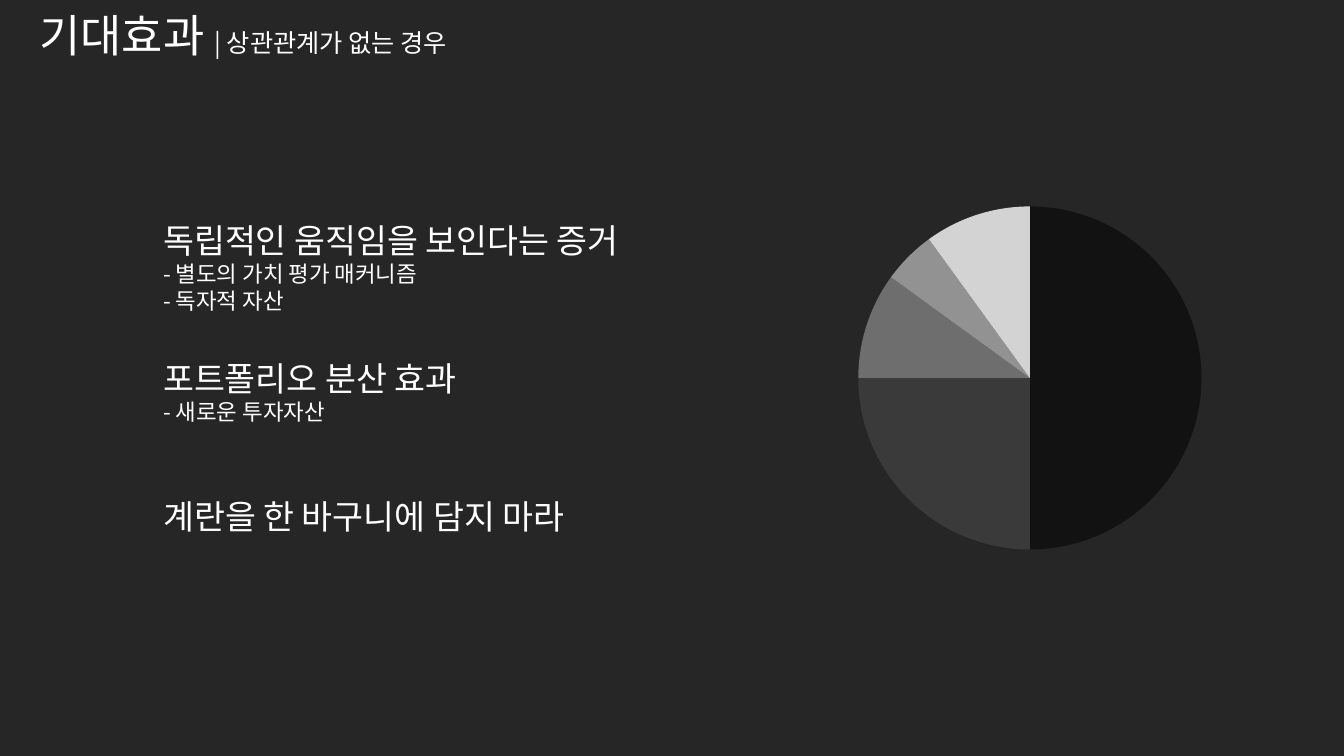
import pptx
import pptx.chart.data
import pptx.dml.color
import pptx.enum.chart
import pptx.enum.text
import pptx.oxml
import pptx.oxml.ns
import pptx.util
from lxml import etree

Inches = pptx.util.Inches
Pt = pptx.util.Pt
RGBColor = pptx.dml.color.RGBColor
qn = pptx.oxml.ns.qn

BACKGROUND = RGBColor(0x26, 0x26, 0x26)
WHITE = RGBColor(0xFF, 0xFF, 0xFF)
BLACK = RGBColor(0x00, 0x00, 0x00)
SLICE_COLORS = [
    RGBColor(0x0D, 0x0D, 0x0D),
    RGBColor(0x40, 0x40, 0x40),
    RGBColor(0x80, 0x80, 0x80),
    RGBColor(0xAE, 0xAE, 0xAE),
    WHITE,
]
SLICE_VALUES = [50, 25, 10, 5, 10]
FONT = "Noto Sans CJK KR"

EFFECTS_LEFT = 1.52
EFFECTS = [
    (2.13, 5.25, 1.04, "독립적인 움직임을 보인다는 증거",
     ["- 별도의 가치 평가 매커니즘", "- 독자적 자산"]),
    (3.5, 3.46, 0.77, "포트폴리오 분산 효과", ["- 새로운 투자자산"]),
    (4.87, 4.69, 0.5, "계란을 한 바구니에 담지 마라", []),
]


def add_text_frame(page, left, top, width, height):
    box = page.shapes.add_textbox(
        Inches(left), Inches(top), Inches(width), Inches(height))
    frame = box.text_frame
    frame.word_wrap = False
    frame.auto_size = pptx.enum.text.MSO_AUTO_SIZE.SHAPE_TO_FIT_TEXT
    return frame


def style_paragraph(para):
    para.font.color.rgb = WHITE
    para.font.name = FONT
    east_asian = etree.SubElement(para.font._element, qn("a:ea"))
    east_asian.set("typeface", FONT)


def add_title(page, left, top, width, height):
    frame = add_text_frame(page, left, top, width, height)
    frame.margin_left = Inches(0.39)
    frame.margin_top = Inches(0.08)
    para = frame.paragraphs[0]
    style_paragraph(para)
    for text, size in [("기대효과 ", 32), ("| 상관관계가 없는 경우", 18)]:
        span = para.add_run()
        span.text = text
        span.font.size = Pt(size)


def add_effect(page, left, top, width, height, heading, details):
    frame = add_text_frame(page, left, top, width, height)
    for index, text in enumerate([heading] + details):
        para = frame.add_paragraph() if index else frame.paragraphs[0]
        para.text = text
        para.font.size = Pt(16 if index else 24)
        style_paragraph(para)


def add_portfolio_pie(page, left, top, width, height):
    data = pptx.chart.data.CategoryChartData()
    data.categories = [str(number + 1) for number in range(len(SLICE_VALUES))]
    data.add_series("Series 1", SLICE_VALUES)
    chart = page.shapes.add_chart(
        pptx.enum.chart.XL_CHART_TYPE.PIE,
        Inches(left), Inches(top), Inches(width), Inches(height), data).chart
    chart.has_title = False
    chart.has_legend = False
    chart.font.name = FONT
    chart.font.size = Pt(10)
    chart.font.color.rgb = BLACK
    plot = chart.plots[0]
    plot.vary_by_categories = True
    series = plot.series[0]
    for index, color in enumerate(SLICE_COLORS):
        look = series.points[index].format
        look.fill.solid()
        look.fill.fore_color.rgb = color
        look.line.fill.background()
    for color_node in series._element.iter(qn("a:srgbClr")):
        etree.SubElement(color_node, qn("a:alpha")).set("val", "80000")


def main():
    deck = pptx.Presentation()
    deck.slide_width = Inches(13.33)
    deck.slide_height = Inches(7.5)
    page = deck.slides.add_slide(deck.slide_layouts[6])
    page.background.fill.solid()
    page.background.fill.fore_color.rgb = BACKGROUND
    add_title(page, 0, 0, 5.09, 0.67)
    add_portfolio_pie(page, 7.46, 1.91, 5.51, 3.68)
    for top, width, height, heading, details in EFFECTS:
        add_effect(page, EFFECTS_LEFT, top, width, height, heading, details)
    deck.save("out.pptx")


if __name__ == "__main__":
    main()
